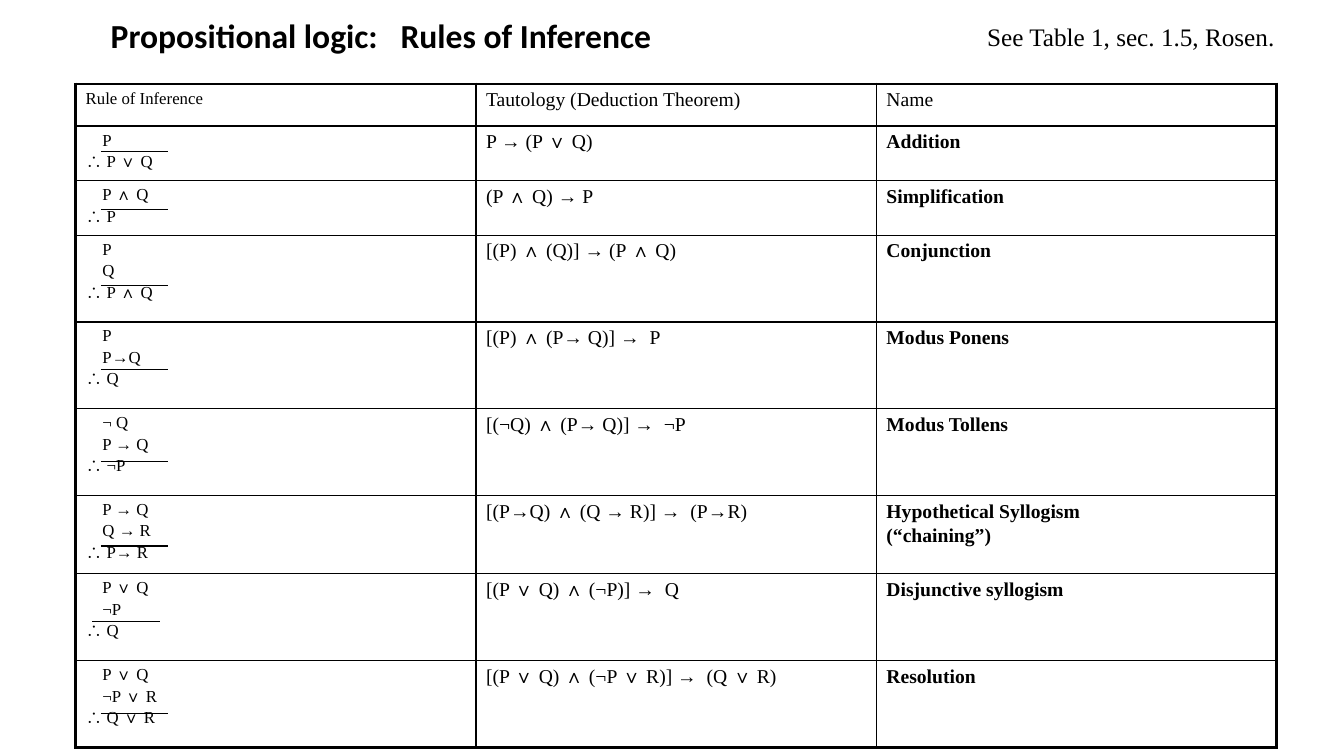
from lxml import etree
from pptx import Presentation
from pptx.dml.color import RGBColor
from pptx.enum.shapes import MSO_CONNECTOR
from pptx.enum.text import MSO_ANCHOR, MSO_AUTO_SIZE
from pptx.oxml.ns import qn
from pptx.util import Pt

STRAIGHT = MSO_CONNECTOR.STRAIGHT
MIDDLE = MSO_ANCHOR.MIDDLE
FIT_SHAPE = MSO_AUTO_SIZE.SHAPE_TO_FIT_TEXT
NO_FIT = MSO_AUTO_SIZE.NONE

BLACK = "000000"
SERIF = "Times New Roman"
TITLE = "Propositional logic:   Rules of Inference"
REFERENCE = "See Table 1, sec. 1.5, Rosen."
HEADERS = ["Rule of Inference", "Tautology (Deduction Theorem)", "Name"]

# premises and conclusion, tautology, name, row height, bar left, bar top
RULES = [
    (["P", "∴ P ∨ Q"], "P → (P ∨ Q)", "Addition", 39, 72, 108),
    (["P ∧ Q", "∴ P"], "(P ∧ Q) → P", "Simplification", 39, 72, 150),
    (["P", "Q", "∴ P ∧ Q"], "[(P) ∧ (Q)] → (P ∧ Q)", "Conjunction", 62, 72, 204),
    (["P", "P→Q", "∴ Q"], "[(P) ∧ (P→ Q)] →  P", "Modus Ponens", 62, 72, 264),
    (["¬ Q", "P → Q", "∴ ¬P"], "[(¬Q) ∧ (P→ Q)] →  ¬P", "Modus Tollens", 62, 72, 330),
    (["P → Q", "Q → R", "∴ P→ R"], "[(P→Q) ∧ (Q → R)] →  (P→R)",
     "Hypothetical Syllogism\n(“chaining”)", 56, 72, 390),
    (["P ∨ Q", "¬P", "∴ Q"], "[(P ∨ Q) ∧ (¬P)] →  Q", "Disjunctive syllogism", 62, 66, 444),
    (["P ∨ Q", "¬P ∨ R", "∴ Q ∨ R"], "[(P ∨ Q) ∧ (¬P ∨ R)] →  (Q ∨ R)",
     "Resolution", 62, 72, 510),
]

LEFT, TOP, COL_W, HEADER_H = 54, 60, 286, 30
BAR_W, PREMISE_INDENT = 48, 12
THIN, THICK = 1, 2.25


def color(value):
    return RGBColor.from_string(value)


def style(p, size, font=SERIF, bold=False):
    for r in p.runs:
        r.font.size = Pt(size)
        r.font.name = font
        r.font.bold = bold
        r.font.color.rgb = color(BLACK)


def add_text(s, box, text, size, font, bold=False):
    tf = s.shapes.add_textbox(*[Pt(v) for v in box]).text_frame
    tf.text = text
    style(tf.paragraphs[0], size, font, bold)
    return tf


def set_border(cell, edge, width):
    ln = etree.SubElement(cell._tc.get_or_add_tcPr(), qn("a:" + edge), w=str(Pt(width)))
    fill = etree.SubElement(ln, qn("a:solidFill"))
    etree.SubElement(fill, qn("a:srgbClr"), val=BLACK)


def fill_cell(cell, lines, size, bold=False, premises=0):
    cell.margin_left = cell.margin_right = Pt(7.2)
    cell.margin_top = cell.margin_bottom = Pt(3.6)
    cell.text = "\n".join(lines)
    for i, p in enumerate(cell.text_frame.paragraphs):
        p.space_before = Pt(2)
        style(p, size, bold=bold)
        if i < premises:
            p._p.get_or_add_pPr().set("marL", str(Pt(PREMISE_INDENT)))


def add_rules_table(s):
    heights = [HEADER_H] + [rule[3] for rule in RULES]
    rows, cols = len(heights), len(HEADERS)
    table = s.shapes.add_table(rows, cols, Pt(LEFT), Pt(TOP),
                               Pt(COL_W * cols), Pt(sum(heights))).table
    table.first_row = table.horz_banding = False
    for col in table.columns:
        col.width = Pt(COL_W)
    for row, height in zip(table.rows, heights):
        row.height = Pt(height)

    for c, header in enumerate(HEADERS):
        fill_cell(table.cell(0, c), [header], 14 if c else 12)
    for i, (steps, tautology, name, *_) in enumerate(RULES, 1):
        fill_cell(table.cell(i, 0), steps, 12, premises=len(steps) - 1)
        fill_cell(table.cell(i, 1), [tautology], 14)
        fill_cell(table.cell(i, 2), name.split("\n"), 14, bold=True)

    for i in range(rows):
        for c in range(cols):
            cell = table.cell(i, c)
            outer = {"lnL": c == 0, "lnR": c == cols - 1,
                     "lnT": i == 0, "lnB": i == rows - 1}
            for edge, is_outer in outer.items():
                set_border(cell, edge, THICK if is_outer else THIN)
            cell.fill.background()


def add_bar(s, x, y):
    bar = s.shapes.add_connector(STRAIGHT, Pt(x), Pt(y), Pt(x + BAR_W), Pt(y))
    bar.line.color.rgb = color(BLACK)
    bar.line.width = Pt(0.75)
    etree.SubElement(bar._element.spPr, qn("a:effectLst"))


def main():
    prs = Presentation()
    prs.slide_width, prs.slide_height = Pt(960), Pt(540)
    s = prs.slides.add_slide(prs.slide_layouts[6])

    title = add_text(s, (72, -18, 744, 90), TITLE, 24, "Calibri", bold=True)
    title.word_wrap = True
    title.auto_size = NO_FIT
    title.vertical_anchor = MIDDLE
    title.paragraphs[0].line_spacing = 0.9

    add_rules_table(s)
    for *_, x, y in RULES:
        add_bar(s, x, y)

    reference = add_text(s, (698, 12, 222, 29), REFERENCE, 18, SERIF)
    reference.word_wrap = False
    reference.auto_size = FIT_SHAPE

    prs.save("out.pptx")


if __name__ == "__main__":
    main()
